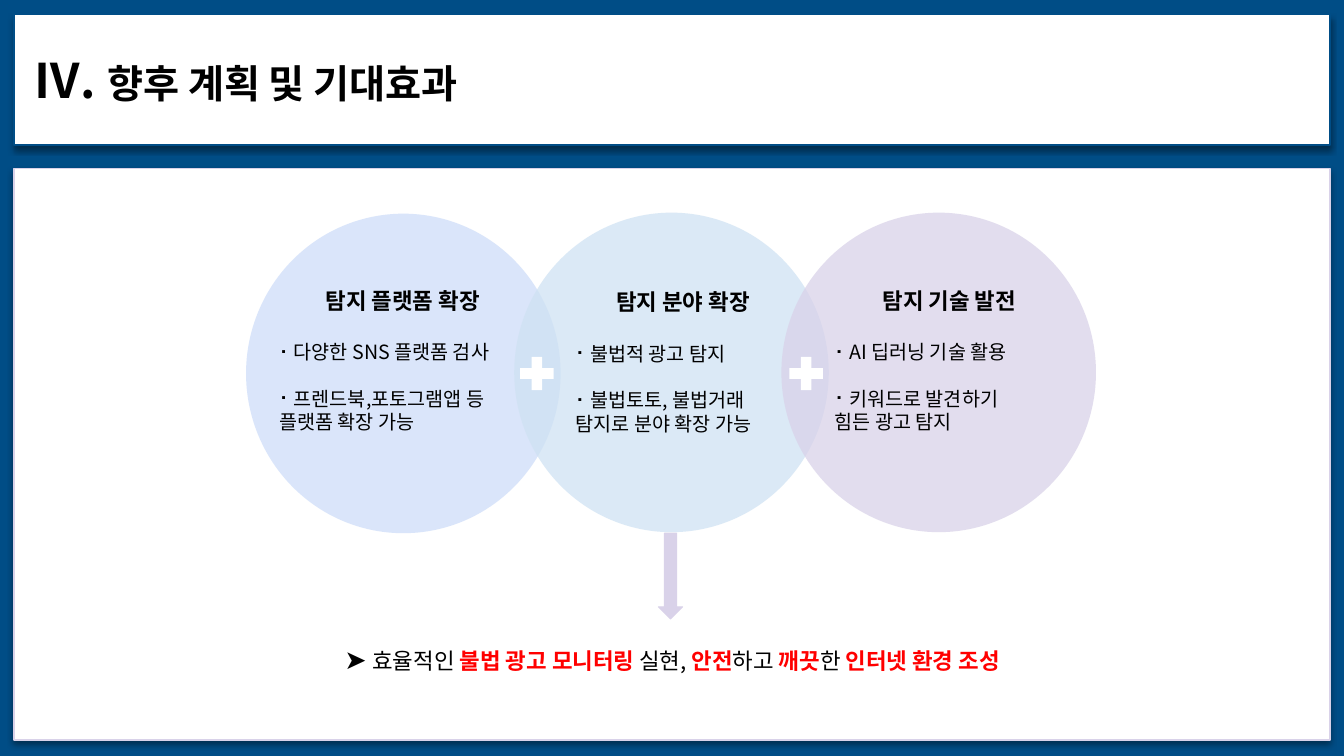
from lxml.etree import SubElement
from pptx import Presentation
from pptx.dml.color import RGBColor
from pptx.enum.shapes import MSO_SHAPE as SHAPE
from pptx.enum.text import MSO_ANCHOR as ANCHOR, MSO_AUTO_SIZE as FIT, PP_ALIGN as ALIGN
from pptx.oxml.ns import qn
from pptx.util import Inches, Pt

FONT = "Noto Sans CJK KR"
COLORS = {
    "navy": "004D86",
    "white": "FFFFFF",
    "black": "000000",
    "red": "FF0000",
    "periwinkle": "C9DAF8",
    "sky": "CFE2F3",
    "lilac": "D9D2E9",
}


class PlanSlide:
    """Builds the plan slide, holding its style and the current slide."""

    def __init__(self, prs):
        self.s = prs.slides.add_slide(prs.slide_layouts[4])
        self.paint(self.s.background.fill, "navy")

    def paint(self, fill, color, alpha=None):
        fill.solid()
        fill.fore_color.rgb = RGBColor.from_string(COLORS[color])
        if alpha:
            clr = fill._xPr.find(".//" + qn("a:srgbClr"))
            SubElement(clr, qn("a:alpha"), val=str(alpha * 1000))

    def outline(self, sp, color, width):
        sp.line.color.rgb = RGBColor.from_string(COLORS[color])
        sp.line.width = Pt(width)

    def drop_shadow(self, sp):
        spPr = sp._element.spPr
        for old in spPr.findall(qn("a:effectLst")):
            spPr.remove(old)
        effects = SubElement(spPr, qn("a:effectLst"))
        shadow = SubElement(effects, qn("a:outerShdw"), blurRad="50800", dist="38100",
                            dir="5400000", algn="t", rotWithShape="0")
        clr = SubElement(shadow, qn("a:srgbClr"), val=COLORS["black"])
        SubElement(clr, qn("a:alpha"), val="40000")

    def shape(self, kind, x, y, w, h, color, alpha=None, adj=None):
        sp = self.s.shapes.add_shape(kind, Inches(x), Inches(y), Inches(w), Inches(h))
        sp.shadow.inherit = False
        self.paint(sp.fill, color, alpha)
        sp.line.fill.background()
        if adj:
            sp.adjustments[0] = adj
        return sp

    def place(self, sp, x, y, w, h):
        sp.left, sp.top, sp.width, sp.height = map(Inches, (x, y, w, h))
        sp._element.getparent().append(sp._element)

    def frame(self, tf, left, top, right, bottom):
        tf.word_wrap = True
        tf.auto_size = FIT.NONE
        tf.vertical_anchor = ANCHOR.MIDDLE
        tf.margin_left, tf.margin_top = Inches(left), Inches(top)
        tf.margin_right, tf.margin_bottom = Inches(right), Inches(bottom)

    def style(self, r, size, bold=False, color="black"):
        r.font.name, r.font.size, r.font.bold = FONT, Pt(size), bold
        r.font.color.rgb = RGBColor.from_string(COLORS[color])
        SubElement(r._r.get_or_add_rPr(), qn("a:ea"), typeface=FONT)

    def runs(self, p, parts):
        for text, *look in parts:
            r = p.add_run()
            r.text = text
            self.style(r, *look)

    def panel(self, x, y, w, h):
        sp = self.shape(SHAPE.RECTANGLE, x, y, w, h, "white")
        self.outline(sp, "lilac", 1)
        self.drop_shadow(sp)

    def title(self, x, y, w, h, parts):
        sp = self.s.shapes.title
        self.place(sp, x, y, w, h)
        self.paint(sp.fill, "white")
        self.outline(sp, "navy", 1)
        self.drop_shadow(sp)
        self.frame(sp.text_frame, 0.19, 0.05, 0.1, 0.05)
        p = sp.text_frame.paragraphs[0]
        p.alignment = ALIGN.LEFT
        self.runs(p, parts)

    def bullet(self, p, char):
        pPr = p._p.get_or_add_pPr()
        pPr.set("marL", "0")
        pPr.set("indent", "0")
        if char:
            SubElement(pPr, qn("a:buFont"), typeface=FONT)
            SubElement(pPr, qn("a:buChar"), char=char)
        else:
            SubElement(pPr, qn("a:buNone"))

    def topic(self, idx, x, y, w, h, bottom, heading, items):
        sp = self.s.placeholders[idx]
        self.place(sp, x, y, w, h)
        tf = sp.text_frame
        self.frame(tf, 0.21, 0.1, 0.1, bottom)
        tf.text = "\n".join([heading, *items])
        for i, p in enumerate(tf.paragraphs):
            self.bullet(p, "⠂" if i else None)
            p.alignment = ALIGN.LEFT if i else ALIGN.CENTER
            p.space_before = Pt((0, 18.7, 16.4)[i])
            for r in p.runs:
                self.style(r, 14 if i else 16, not i)

    def caption(self, x, y, w, h, parts):
        tf = self.s.shapes.add_textbox(Inches(x), Inches(y), Inches(w), Inches(h)).text_frame
        self.frame(tf, 0.1, 0.05, 0.1, 0.05)
        tf.vertical_anchor = ANCHOR.TOP
        p = tf.paragraphs[0]
        p.alignment = ALIGN.CENTER
        self.runs(p, parts)

    def remove_empty(self):
        for sp in list(self.s.placeholders):
            if not sp.text_frame.text:
                sp._element.getparent().remove(sp._element)


def main():
    prs = Presentation()
    prs.slide_width, prs.slide_height = Inches(13.33), Inches(7.5)
    plan = PlanSlide(prs)
    plan.panel(0.14, 1.67, 13.05, 5.67)
    plan.title(0.14, 0.14, 13.05, 1.3, [("Ⅳ. ", 34, True), ("향후 계획 및 기대효과", 28, True)])

    for x, y, color, alpha in [(2.44, 2.12, "periwinkle", 68), (5.1, 2.11, "sky", 74),
                               (7.75, 2.11, "lilac", 74)]:
        plan.shape(SHAPE.OVAL, x, y, 3.12, 3.17, color, alpha)
    for x in (5.1, 7.77):
        plan.shape(SHAPE.MATH_PLUS, x, 3.48, 0.45, 0.45, "white", adj=0.235)

    plan.topic(1, 2.56, 2.48, 2.76, 2.19, 0.1, "탐지 플랫폼 확장",
               ["다양한 SNS 플랫폼 검사", "프렌드북,포토그램앱 등\v플랫폼 확장 가능"])
    plan.topic(2, 5.5, 2.61, 2.44, 2.19, 0.33, "탐지 분야 확장",
               ["불법적 광고 탐지", "불법토토, 불법거래\v탐지로 분야 확장 가능"])
    plan.topic(3, 8.07, 2.48, 2.58, 2.19, 0.1, "탐지 기술 발전",
               ["AI 딥러닝 기술 활용", "키워드로 발견하기\v힘든 광고 탐지"])

    arrow = plan.shape(SHAPE.DOWN_ARROW, 6.53, 5.29, 0.24, 0.85, "lilac")
    plan.outline(arrow, "lilac", 0.75)
    plan.caption(2.27, 6.33, 8.79, 0.42, [
        ("➤ ", 19), ("효율적인 ", 16), ("불법 광고 모니터링", 16, True, "red"),
        (" 실현, ", 16), ("안전", 16, True, "red"), ("하고 ", 16),
        ("깨끗", 16, True, "red"), ("한 ", 16), ("인터넷 환경 조성", 16, True, "red")])
    plan.remove_empty()
    prs.save("out.pptx")


if __name__ == "__main__":
    main()
